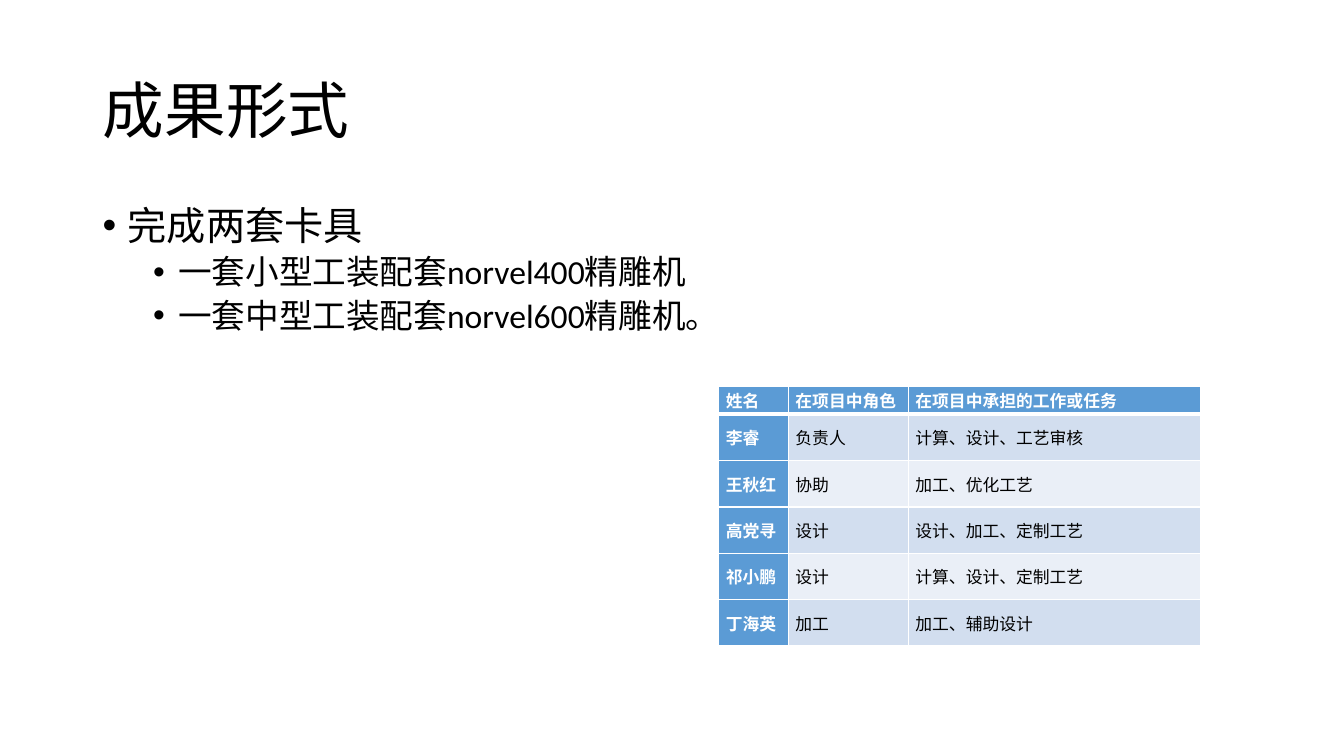
from dataclasses import dataclass

from lxml import etree
from pptx import Presentation
from pptx import util as u
from pptx.dml.color import RGBColor
from pptx.enum import text
from pptx.oxml.ns import qn


@dataclass(frozen=True)
class Theme:
    ink: str = "000000"
    paper: str = "FFFFFF"
    accent: str = "5B9BD5"
    band_dark: str = "D2DEEF"
    band_light: str = "EAEFF7"
    latin: str = "Calibri"
    east_asian: str = "Noto Sans CJK SC"
    title_size: int = 44
    bullet_sizes: tuple = (28, 24)
    table_size: int = 12


THEME = Theme()

TITLE = "成果形式"
BULLETS = [
    (0, "完成两套卡具"),
    (1, "一套小型工装配套norvel400精雕机"),
    (1, "一套中型工装配套norvel600精雕机。"),
]
MEMBERS = [
    ("姓名", "在项目中角色", "在项目中承担的工作或任务"),
    ("李睿", "负责人", "计算、设计、工艺审核"),
    ("王秋红", "协助", "加工、优化工艺"),
    ("高党寻", "设计", "设计、加工、定制工艺"),
    ("祁小鹏", "设计", "计算、设计、定制工艺"),
    ("丁海英", "加工", "加工、辅助设计"),
]
COLUMN_WIDTHS = (0.69, 1.19, 2.9)
HEADER_HEIGHT, ROW_HEIGHT = 0.28, 0.46


def format_runs(p, size, color, latin=THEME.latin, bold=False):
    for r in p.runs:
        r.font.size = u.Pt(size)
        r.font.bold = bold
        r.font.color.rgb = RGBColor.from_string(color)
        r.font.name = latin
        ea = etree.Element(qn("a:ea"), typeface=THEME.east_asian)
        r.font._element.find(qn("a:latin")).addnext(ea)


def set_title(s):
    sp = s.shapes.title
    sp.left, sp.top = u.Inches(0.92), u.Inches(0.4)
    sp.width, sp.height = u.Inches(11.5), u.Inches(1.45)
    tf = sp.text_frame
    tf.text = TITLE
    tf.auto_size = text.MSO_AUTO_SIZE.NONE
    tf.vertical_anchor = text.MSO_ANCHOR.MIDDLE
    p = tf.paragraphs[0]
    p.alignment = text.PP_ALIGN.LEFT
    p.line_spacing = 0.9
    format_runs(p, THEME.title_size, THEME.ink, THEME.east_asian)


def add_bullet(p, level):
    pPr = p._p.get_or_add_pPr()
    pPr.set("marL", str(u.Inches(0.25 + 0.5 * level)))
    pPr.set("indent", str(u.Inches(-0.25)))
    etree.SubElement(pPr, qn("a:buFont"), typeface="Arial")
    etree.SubElement(pPr, qn("a:buChar"), char="•")


def add_bullets(s):
    sp = s.shapes.add_textbox(u.Inches(0.92), u.Inches(2), u.Inches(11.5), u.Inches(4.76))
    tf = sp.text_frame
    tf.word_wrap = True
    tf.text = "\n".join(line for _, line in BULLETS)
    for p, (level, _) in zip(tf.paragraphs, BULLETS):
        p.level = level
        p.line_spacing = 0.9
        p.space_before = u.Pt(5 if level else 10)
        add_bullet(p, level)
        format_runs(p, THEME.bullet_sizes[level], THEME.ink)


def set_borders(cell, **widths):
    tcPr = cell._tc.get_or_add_tcPr()
    for i, side in enumerate("LRTB"):
        ln = etree.Element(qn(f"a:ln{side}"), w=str(u.Pt(widths.get(side, 1))))
        fill = etree.SubElement(ln, qn("a:solidFill"))
        etree.SubElement(fill, qn("a:srgbClr"), val=THEME.paper)
        tcPr.insert(i, ln)


def fill_cell(cell, value, row, col):
    is_heading = row == 0 or col == 0
    band = THEME.band_dark if row % 2 else THEME.band_light
    cell.text = value
    cell.vertical_anchor = text.MSO_ANCHOR.MIDDLE
    cell.margin_left = cell.margin_right = u.Inches(0.07)
    cell.margin_top = cell.margin_bottom = 0
    cell.fill.solid()
    cell.fill.fore_color.rgb = RGBColor.from_string(THEME.accent if is_heading else band)
    p = cell.text_frame.paragraphs[0]
    p.alignment = text.PP_ALIGN.JUSTIFY
    format_runs(p, THEME.table_size, THEME.paper if is_heading else THEME.ink, bold=is_heading)
    # A thick rule separates the header from the members
    set_borders(cell, T=3 if row == 1 else 1, B=3 if row == 0 else 1)


def add_member_table(s):
    heights = [HEADER_HEIGHT] + [ROW_HEIGHT] * (len(MEMBERS) - 1)
    table = s.shapes.add_table(
        len(MEMBERS), len(COLUMN_WIDTHS), u.Inches(7.13), u.Inches(3.83),
        u.Inches(sum(COLUMN_WIDTHS)), u.Inches(sum(heights))).table
    table.first_col = True
    for column, width in zip(table.columns, COLUMN_WIDTHS):
        column.width = u.Inches(width)
    for table_row, height in zip(table.rows, heights):
        table_row.height = u.Inches(height)
    for row, values in enumerate(MEMBERS):
        for col, value in enumerate(values):
            fill_cell(table.cell(row, col), value, row, col)


def main():
    prs = Presentation()
    prs.slide_width, prs.slide_height = u.Inches(13.33), u.Inches(7.5)
    s = prs.slides.add_slide(prs.slide_layouts[5])
    s.background.fill.solid()
    s.background.fill.fore_color.rgb = RGBColor.from_string(THEME.paper)

    # Heading and deliverables
    set_title(s)
    add_bullets(s)

    # Team roles
    add_member_table(s)
    prs.save("out.pptx")


if __name__ == "__main__":
    main()
